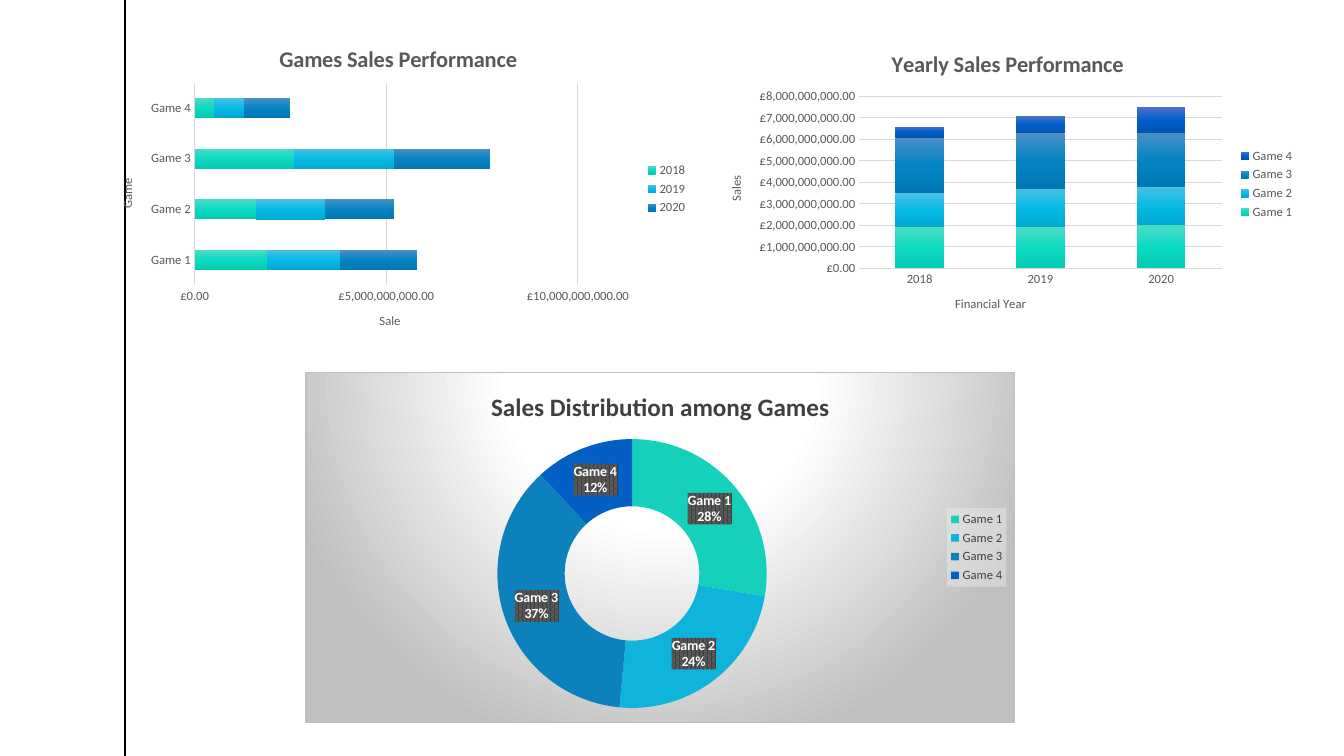
from lxml.etree import SubElement
from pptx import Presentation
from pptx.chart.data import CategoryChartData
from pptx.dml.color import RGBColor
from pptx.enum.chart import XL_CHART_TYPE, XL_LEGEND_POSITION, XL_TICK_MARK
from pptx.oxml import parse_xml
from pptx.oxml.ns import nsdecls, qn
from pptx.util import Inches, Pt

FONT = "Calibri"
COLOURS = {"rule": "000000", "text": "595959", "dark": "404040", "grid": "D9D9D9",
           "border": "BFBFBF", "white": "FFFFFF", "panel": "F2F2F2"}
GRADIENTS = [("4CDBC5", "0CDAC2", "02CAB3"), ("4CBFE4", "05BAE5", "00A8D0"),
             ("4B90C6", "0484C4", "0076B2"), ("4B73CE", "005FC8", "0054B2")]
SLICES = ["15D1BB", "0FB4DB", "0D81BB", "045FC4"]
GAMES = ["Game 1", "Game 2", "Game 3", "Game 4"]
YEARS = ["2018", "2019", "2020"]
# Sales in billions: one row per game, one column per year
SALES = [(1.9, 1.9, 2.0), (1.6, 1.8, 1.8), (2.6, 2.6, 2.5), (0.5, 0.8, 1.2)]
SHARES = (28, 24, 37, 12)
POUNDS = '"£"#,##0.00'


def rgb(name):
    return RGBColor.from_string(COLOURS[name])


def style_font(font, size, colour, bold=False):
    font.name, font.size, font.bold = FONT, Pt(size), bold
    font.color.rgb = rgb(colour)


def write_title(owner, words, size, colour, bold=False):
    para = owner.text_frame.paragraphs[0]
    span = para.add_run()
    span.text = words
    style_font(span.font, size, colour, bold)


def gradient(stops, direction):
    marks = "".join(f'<a:gs pos="{place * 1000}"><a:srgbClr val="{colour}"/></a:gs>'
                    for place, colour in stops)
    return f'<a:gradFill><a:gsLst>{marks}</a:gsLst>{direction}</a:gradFill>'


def solid(colour, alpha=100):
    return (f'<a:solidFill><a:srgbClr val="{colour}"><a:alpha val="{alpha * 1000}"/>'
            '</a:srgbClr></a:solidFill>')


def paint_before_text(element, paint):
    """Give a chart part its fill, just ahead of its text properties."""
    element.find(qn("c:txPr")).addprevious(
        parse_xml(f'<c:spPr {nsdecls("c", "a")}>{paint}</c:spPr>'))


def place_plot(chart, area):
    """Set the inner plot area as fractions of the chart box."""
    plot_area = chart._chartSpace.chart.plotArea
    for old in plot_area.findall(qn("c:layout")):
        plot_area.remove(old)
    layout = parse_xml(f'<c:layout {nsdecls("c")}/>')
    manual = SubElement(layout, qn("c:manualLayout"))
    settings = [("layoutTarget", "inner"), ("xMode", "edge"), ("yMode", "edge"),
                *zip("xywh", area)]
    for tag, value in settings:
        SubElement(manual, qn(f"c:{tag}")).set("val", str(value))
    plot_area.insert(0, layout)


def add_chart(page, box, kind, data, title, title_size, colour, area):
    """Add a chart with its title, legend and plot position."""
    chart = page.shapes.add_chart(kind, *map(Inches, box), data).chart
    style_font(chart.font, 10, "rule")
    chart.has_title = True
    write_title(chart.chart_title, title, title_size, colour, True)
    chart.chart_title.include_in_layout = False
    chart.has_legend = True
    chart.legend.position = XL_LEGEND_POSITION.RIGHT
    chart.legend.include_in_layout = False
    style_font(chart.legend.font, 9, colour)
    place_plot(chart, area)
    return chart


def style_axis(axis, title):
    axis.has_title = True
    write_title(axis.axis_title, title, 9, "text")
    axis.major_tick_mark = axis.minor_tick_mark = XL_TICK_MARK.NONE
    style_font(axis.tick_labels.font, 9, "text")


def stacked_chart(page, box, kind, title, categories, rows, axis_titles, scale, area):
    data = CategoryChartData(number_format=POUNDS)
    data.categories = categories
    for name, values in rows:
        data.add_series(name, [round(value * 1e9) for value in values])
    chart = add_chart(page, box, kind, data, title, 16, "text", area)

    # Axes
    category_axis, value_axis = chart.category_axis, chart.value_axis
    for axis, words in zip((category_axis, value_axis), axis_titles):
        style_axis(axis, words)
    category_axis.format.line.color.rgb = rgb("grid")
    category_axis.format.line.width = Pt(1)
    value_axis.format.line.fill.background()
    value_axis.minimum_scale = 0
    value_axis.maximum_scale, value_axis.major_unit = scale
    value_axis.tick_labels.number_format = POUNDS
    value_axis.tick_labels.number_format_is_linked = False
    value_axis.major_gridlines.format.line.color.rgb = rgb("grid")
    value_axis.major_gridlines.format.line.width = Pt(0.75)

    # Bars
    plot = chart.plots[0]
    plot.gap_width, plot.overlap, plot.vary_by_categories = 150, 100, False
    for series, colours in zip(plot.series, GRADIENTS):
        paint = gradient(zip((0, 50, 100), colours), '<a:lin ang="5400000" scaled="0"/>')
        properties = series._element.get_or_add_spPr()
        properties.append(parse_xml(paint.replace("<a:gradFill>", f'<a:gradFill {nsdecls("a")}>')))


def doughnut_chart(page, box, area):
    data = CategoryChartData()
    data.categories = GAMES
    data.add_series("Series 1", SHARES)
    chart = add_chart(page, box, XL_CHART_TYPE.DOUGHNUT, data,
                      "Sales Distribution among Games", 18, "dark", area)

    # Background and legend panel
    centre = '<a:path path="circle"><a:fillToRect l="50000" t="-80000" r="50000" b="180000"/></a:path>'
    backdrop = gradient([(0, COLOURS["white"]), (39, COLOURS["white"]),
                         (100, COLOURS["border"])], centre)
    paint_before_text(chart._chartSpace,
                      f'{backdrop}<a:ln w="9525">{solid(COLOURS["border"])}</a:ln>')
    paint_before_text(chart.legend._element, solid(COLOURS["panel"], 39))

    # Slices
    plot = chart.plots[0]
    for index, colour in enumerate(SLICES):
        fill = plot.series[0].points[index].format.fill
        fill.solid()
        fill.fore_color.rgb = RGBColor.from_string(colour)

    # Labels
    labels = plot.series[0].data_labels
    labels.show_category_name = labels.show_percentage = True
    labels.show_value = labels.show_legend_key = labels.show_series_name = False
    labels.number_format, labels.number_format_is_linked = "0%", False
    style_font(labels.font, 10, "white", True)
    paint_before_text(labels._element, '<a:pattFill prst="pct75">'
                      f'<a:fgClr><a:srgbClr val="{COLOURS["dark"]}"/></a:fgClr>'
                      f'<a:bgClr><a:srgbClr val="{COLOURS["text"]}"/></a:bgClr></a:pattFill>')
    separator = parse_xml(f'<c:separator {nsdecls("c")}>\n</c:separator>')
    labels._element.find(qn("c:showBubbleSize")).addnext(separator)


def side_rule(page, left, height):
    rule = page.shapes.add_connector(1, Inches(left), 0, Inches(left), Inches(height))
    rule.line.color.rgb = rgb("rule")
    rule.line.width = Pt(1)
    SubElement(rule._element.spPr, qn("a:effectLst"))


def main():
    deck = Presentation()
    deck.slide_width, deck.slide_height = Inches(13.33), Inches(7.5)
    page = deck.slides.add_slide(deck.slide_layouts[6])
    side_rule(page, 1.24, 7.5)
    stacked_chart(page, (0.98, 0.28, 5.94, 3.19), XL_CHART_TYPE.BAR_STACKED,
                  "Games Sales Performance", GAMES, zip(YEARS, zip(*SALES)),
                  ("Game", "Sale"), (10e9, 5e9), (0.16, 0.17, 0.64, 0.63))
    stacked_chart(page, (7.05, 0.33, 5.89, 2.99), XL_CHART_TYPE.COLUMN_STACKED,
                  "Yearly Sales Performance", YEARS, zip(GAMES, SALES),
                  ("Financial Year", "Sales"), (8e9, 1e9), (0.25, 0.21, 0.61, 0.57))
    doughnut_chart(page, (3.03, 3.69, 7.04, 3.48), (0.27, 0.19, 0.38, 0.77))
    deck.save("out.pptx")


if __name__ == "__main__":
    main()
